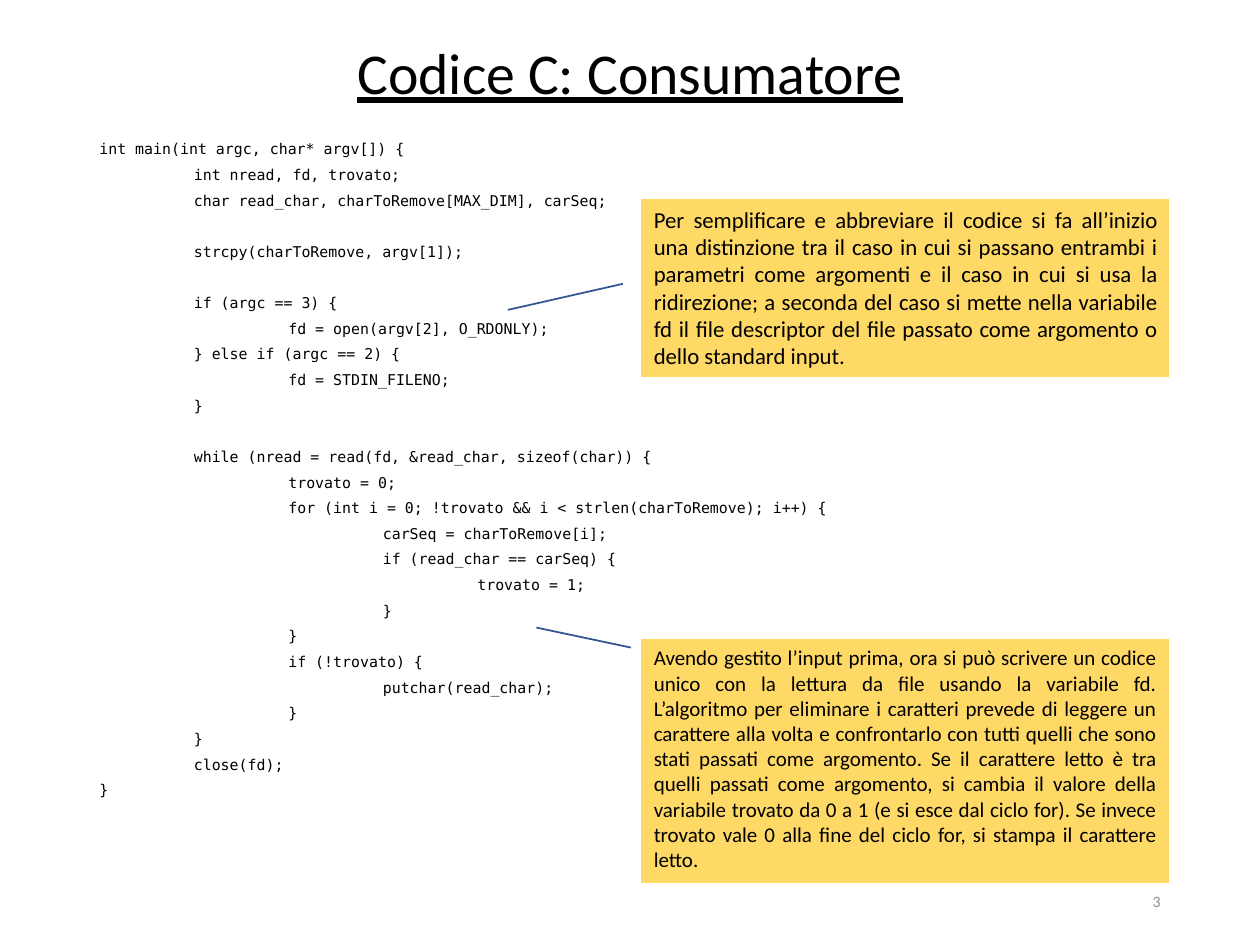
import pptx
import pptx.dml.color
import pptx.enum.shapes
import pptx.enum.text
import pptx.util
from pptx.util import Inches

ALIGN = pptx.enum.text.PP_ALIGN
ANCHOR = pptx.enum.text.MSO_ANCHOR


def rgb(hex_text):
    """Turn a hex string into a colour."""
    return pptx.dml.color.RGBColor.from_string(hex_text)


def write(shape, text, size, align, anchor, color="000000", **font_values):
    """Put one formatted paragraph into a shape and return it."""
    frame = shape.text_frame
    frame.word_wrap = True
    frame.vertical_anchor = anchor
    paragraph = frame.paragraphs[0]
    paragraph.alignment = align
    run = paragraph.add_run()
    run.text = text
    values = {"name": "Calibri", "size": pptx.util.Pt(size), **font_values}
    for key, value in values.items():
        setattr(run.font, key, value)
    run.font.color.rgb = rgb(color)
    return paragraph


deck = pptx.Presentation()
deck.slide_width, deck.slide_height = Inches(10), Inches(7.5)
slide = deck.slides.add_slide(deck.slide_layouts[6])
shapes = slide.shapes

title = shapes.add_textbox(Inches(0.69), Inches(0.1), Inches(8.62), Inches(1))
heading = write(title, "Codice C: Consumatore", 33, ALIGN.CENTER, ANCHOR.MIDDLE, underline=True)
heading.line_spacing = 0.9

# Each entry: nesting depth and code; None leaves a one-line gap.
code_lines = [
    (0, "int main(int argc, char* argv[]) {"),
    (1, "int nread, fd, trovato;"),
    (1, "char read_char, charToRemove[MAX_DIM], carSeq;"),
    None,
    (1, "strcpy(charToRemove, argv[1]);"),
    None,
    (1, "if (argc == 3) {"),
    (2, "fd = open(argv[2], O_RDONLY);"),
    (1, "} else if (argc == 2) {"),
    (2, "fd = STDIN_FILENO;"),
    (1, "}"),
    None,
    (1, "while (nread = read(fd, &read_char, sizeof(char)) {"),
    (2, "trovato = 0;"),
    (2, "for (int i = 0; !trovato && i < strlen(charToRemove); i++) {"),
    (3, "carSeq = charToRemove[i];"),
    (3, "if (read_char == carSeq) {"),
    (4, "trovato = 1;"),
    (3, "}"),
    (2, "}"),
    (2, "if (!trovato) {"),
    (3, "putchar(read_char);"),
    (2, "}"),
    (1, "}"),
    (1, "close(fd);"),
    (0, "}"),
]
INDENT = Inches(0.75)
SPACE_BEFORE, LINE_PITCH = 7.5, 14.65

listing = shapes.add_textbox(Inches(0.69), Inches(1.1), Inches(8.62), Inches(5.66))
listing.text_frame.word_wrap = True
code_line = listing.text_frame.paragraphs[0]
gap = 0
for number, entry in enumerate(code_lines):
    if entry is None:
        gap = LINE_PITCH
        continue
    depth, code = entry
    if number:
        code_line = listing.text_frame.add_paragraph()
    code_line.line_spacing = 0.7
    code_line.space_before = pptx.util.Pt(SPACE_BEFORE + gap)
    properties = code_line._p.get_or_add_pPr()
    properties.set("marL", str(depth * INDENT))
    properties.set("indent", "0")
    run = code_line.add_run()
    run.text = code
    run.font.name = "DejaVu Sans Mono"
    run.font.size = pptx.util.Pt(8.5)
    run.font.color.rgb = rgb("000000")
    gap = 0

# Top, height, text size, pointer position and text of each note.
notes = [
    (1.58, 1.41, 13, (0.477, -0.035, 0.624, -0.253),
     "Per semplificare e abbreviare il codice si fa all’inizio una distinzione tra "
     "il caso in cui si passano entrambi i parametri come argomenti e il caso in cui "
     "si usa la ridirezione; a seconda del caso si mette nella variabile fd il file "
     "descriptor del file passato come argomento o dello standard input."),
    (5.07, 1.94, 12, (0.036, -0.02, -0.046, -0.199),
     "Avendo gestito l’input prima, ora si può scrivere un codice unico con la "
     "lettura da file usando la variabile fd. L’algoritmo per eliminare i caratteri "
     "prevede di leggere un carattere alla volta e confrontarlo con tutti quelli che "
     "sono stati passati come argomento. Se il carattere letto è tra quelli passati "
     "come argomento, si cambia il valore della variabile trovato da 0 a 1 (e si esce "
     "dal ciclo for). Se invece trovato vale 0 alla fine del ciclo for, si stampa il "
     "carattere letto."),
]
for top, height, size, pointer, text in notes:
    note = shapes.add_shape(pptx.enum.shapes.MSO_SHAPE.LINE_CALLOUT_1_NO_BORDER,
                            Inches(5.09), Inches(top), Inches(4.19), Inches(height))
    for index, value in enumerate(pointer):
        note.adjustments[index] = value
    note.shadow.inherit = False
    note.fill.solid()
    note.fill.fore_color.rgb = rgb("FFD966")
    note.line.color.rgb = rgb("325491")
    note.line.width = pptx.util.Pt(1)
    write(note, text, size, ALIGN.JUSTIFY, ANCHOR.TOP)

page_number = shapes.add_textbox(Inches(7.06), Inches(6.95), Inches(2.25), Inches(0.4))
write(page_number, "3", 9, ALIGN.RIGHT, ANCHOR.MIDDLE, "8C8C8C")

deck.save("out.pptx")
